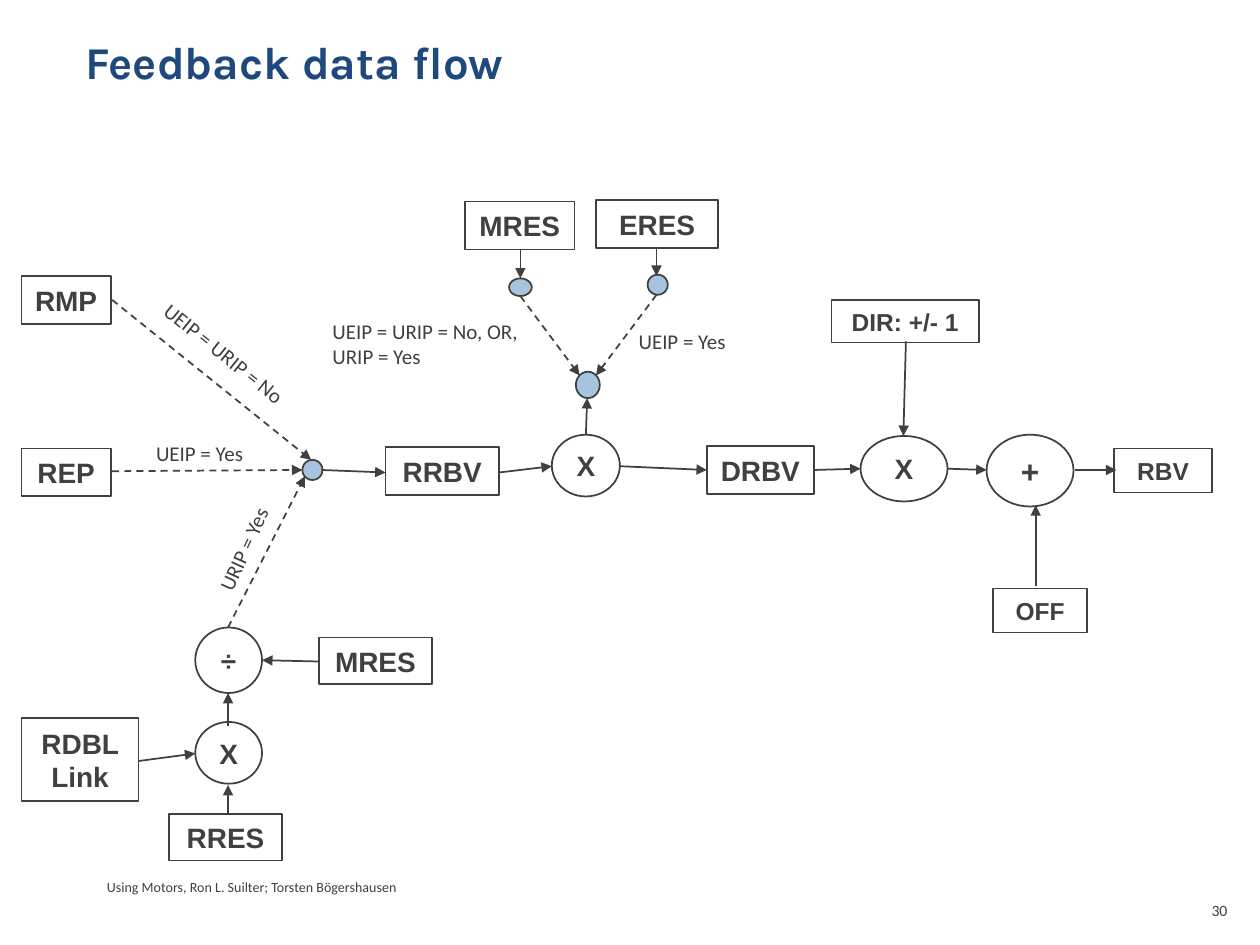
import pptx
import pptx.dml.color
import pptx.enum.dml
import pptx.enum.shapes
import pptx.enum.text
import pptx.oxml
import pptx.oxml.ns
import pptx.util

PX = 9144  # EMU, 100 px to the inch
INK = pptx.dml.color.RGBColor(0x40, 0x40, 0x40)
NAVY = pptx.dml.color.RGBColor(0x1F, 0x49, 0x7D)
SKY = pptx.dml.color.RGBColor(0xA6, 0xC4, 0xDE)
RECT = pptx.enum.shapes.MSO_SHAPE.RECTANGLE
OVAL = pptx.enum.shapes.MSO_SHAPE.OVAL
ALIGN = pptx.enum.text.PP_ALIGN


def write(shape, text, size, font, color=INK, bold=False, align=ALIGN.LEFT):
    shape.text_frame.text = text
    for para in shape.text_frame.paragraphs:
        para.alignment = align
        for span in para.runs:
            span.font.size = pptx.util.Pt(size)
            span.font.name = font
            span.font.bold = bold
            span.font.color.rgb = color


class Region:
    """A part of the page whose members are placed from its top left corner."""

    def __init__(self, page, left, top):
        self.page, self.left, self.top = page, left, top

    def point(self, x, y):
        return (self.left + x) * PX, (self.top + y) * PX

    def frame(self, box):
        x, y, width, height = box
        return *self.point(x, y), width * PX, height * PX

    def outline(self, kind, box):
        shape = self.page.shapes.add_shape(kind, *self.frame(box))
        shape.shadow.inherit = False
        shape.fill.background()
        shape.line.color.rgb = INK
        shape.line.width = pptx.util.Pt(1)
        return shape

    def node(self, kind, text, box, size=16):
        shape = self.outline(kind, box)
        write(shape, text, size, "Arial", bold=True, align=ALIGN.CENTER)
        shape.text_frame.word_wrap = True
        shape.text_frame.vertical_anchor = pptx.enum.text.MSO_ANCHOR.MIDDLE

    def dot(self, box):
        shape = self.outline(OVAL, box)
        shape.fill.solid()
        shape.fill.fore_color.rgb = SKY

    def arrow(self, start, end, dashed=False):
        line = self.page.shapes.add_connector(
            pptx.enum.shapes.MSO_CONNECTOR.STRAIGHT, *self.point(*start), *self.point(*end))
        line.line.color.rgb = INK
        line.line.width = pptx.util.Pt(1)
        if dashed:
            line.line.dash_style = pptx.enum.dml.MSO_LINE.DASH
        tip = pptx.oxml.parse_xml(
            f'<a:tailEnd {pptx.oxml.ns.nsdecls("a")} type="triangle"/>')
        line.line._get_or_add_ln().append(tip)
        line._element.spPr.append(
            pptx.oxml.parse_xml(f'<a:effectLst {pptx.oxml.ns.nsdecls("a")}/>'))

    def text(self, text, box, size, font="Calibri", wrap=True, **style):
        shape = self.page.shapes.add_textbox(*self.frame(box))
        write(shape, text, size, font, **style)
        shape.text_frame.word_wrap = wrap
        return shape

    def label(self, text, box, angle=0):
        self.text(text, box, 12, wrap=False).rotation = angle


def position_source(region):
    """Motor, encoder or readback link, selected into one position."""
    for kind, text, box in [
        (RECT, "RMP", (0, 0, 71, 38)),
        (RECT, "REP", (0, 137, 71, 38)),
        (RECT, "RDBL Link", (0, 351, 93, 66)),
        (RECT, "MRES", (236, 287, 90, 37)),
        (RECT, "RRES", (117, 427, 90, 37)),
        (OVAL, "÷", (138, 279, 53, 52)),
        (OVAL, "X", (138, 354, 53, 49)),
    ]:
        region.node(kind, text, box)
    region.dot((223, 146, 16, 16))
    for start, end in [
        ((72, 19), (230, 146)),
        ((72, 155), (223, 154)),
        ((164, 279), (225, 159)),
    ]:
        region.arrow(start, end, dashed=True)
    for start, end in [
        ((93, 385), (138, 379)),
        ((164, 426), (164, 404)),
        ((164, 357), (164, 331)),
        ((236, 306), (191, 305)),
        ((238, 154), (289, 156)),
    ]:
        region.arrow(start, end)
    region.label("UEIP = URIP = No", (93, 47, 137, 30), 38.8)
    region.label("UEIP = Yes", (97, 126, 93, 30))
    region.label("URIP = Yes", (130, 200, 94, 30), 294.5)


def resolution_scaling(region):
    """Raw readback multiplied by the motor or encoder resolution."""
    for kind, text, box in [
        (RECT, "MRES", (115, 1, 87, 38)),
        (RECT, "ERES", (219, 0, 97, 38)),
        (RECT, "RRBV", (52, 196, 90, 38)),
        (OVAL, "X", (184, 186, 54, 49)),
        (RECT, "DRBV", (307, 195, 85, 38)),
    ]:
        region.node(kind, text, box)
    for box in [(150, 62, 18, 14), (260, 59, 16, 16), (203, 136, 19, 21)]:
        region.dot(box)
    for start, end in [((159, 76), (206, 139)), ((267, 75), (219, 139))]:
        region.arrow(start, end, dashed=True)
    for start, end in [
        ((159, 39), (159, 62)),
        ((267, 38), (267, 60)),
        ((211, 186), (212, 157)),
        ((142, 216), (184, 211)),
        ((238, 211), (307, 214)),
        ((392, 214), (429, 213)),
    ]:
        region.arrow(start, end)
    region.label("UEIP = URIP = No, OR,\nURIP = Yes", (0, 89, 167, 51))
    region.label("UEIP = Yes", (243, 97, 93, 30))


def user_readback(region):
    """Direction and offset applied to give the user value."""
    for kind, text, box, size in [
        (RECT, "DIR: +/- 1", (0, 0, 117, 34), 14),
        (OVAL, "X", (23, 108, 69, 52), 16),
        (OVAL, "+", (123, 107, 69, 57), 18),
        (RECT, "RBV", (224, 118, 78, 35), 14),
        (RECT, "OFF", (128, 229, 75, 35), 14),
    ]:
        region.node(kind, text, box, size)
    for start, end in [
        ((59, 33), (57, 108)),
        ((162, 227), (162, 163)),
        ((92, 134), (123, 135)),
        ((193, 135), (226, 135)),
    ]:
        region.arrow(start, end)


def page_texts(region):
    region.text("Feedback data flow", (58, 22, 900, 125), 26, "Karla", color=NAVY, bold=True)
    region.text("Using Motors, Ron L. Suilter; Torsten Bögershausen", (75, 692, 750, 24), 8)
    region.text("30", (942, 710, 42, 40), 9, align=ALIGN.RIGHT)


def main():
    deck = pptx.Presentation()
    deck.slide_width, deck.slide_height = 1000 * PX, 750 * PX
    page = deck.slides.add_slide(deck.slide_layouts[6])
    page_texts(Region(page, 0, 0))
    position_source(Region(page, 17, 219))
    resolution_scaling(Region(page, 254, 159))
    user_readback(Region(page, 660, 238))
    deck.save("out.pptx")


if __name__ == "__main__":
    main()
